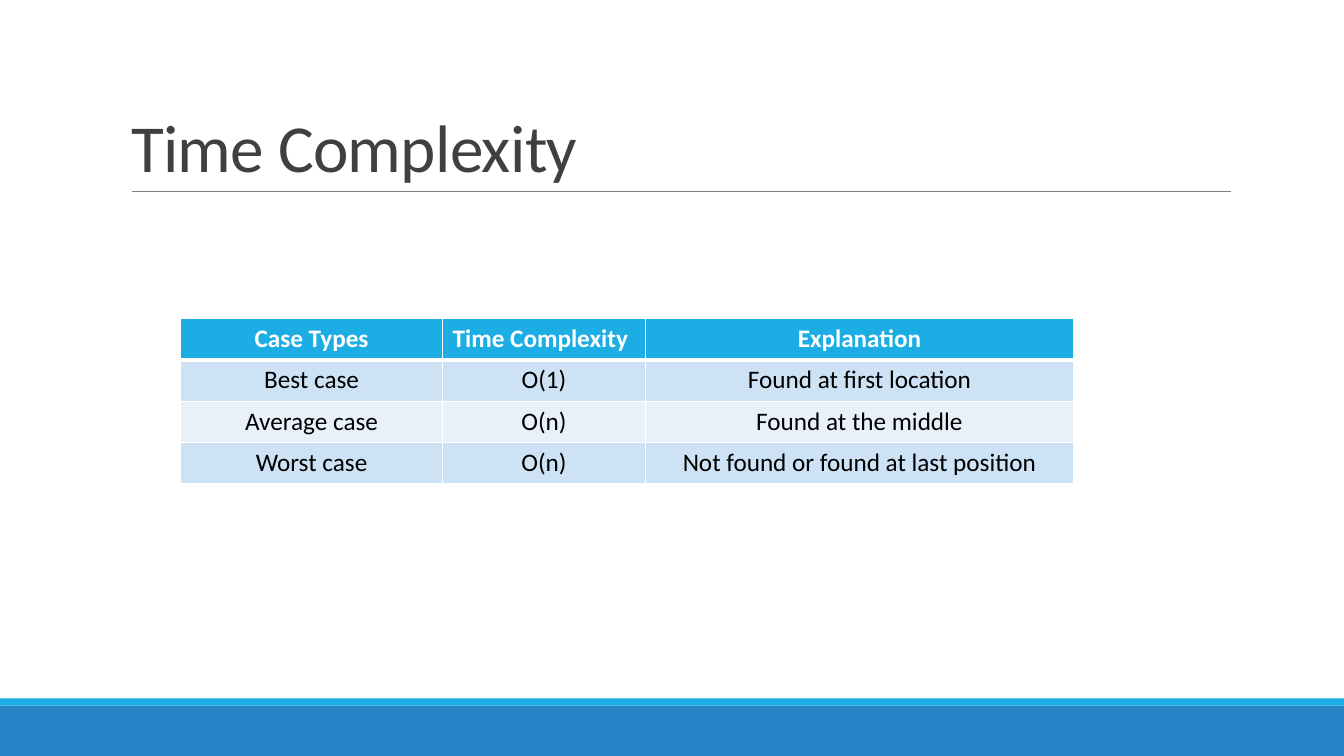
from dataclasses import dataclass

from lxml.etree import SubElement
from pptx import Presentation
from pptx.dml.color import RGBColor
from pptx.enum.shapes import MSO_CONNECTOR, MSO_SHAPE
from pptx.enum.text import MSO_ANCHOR, MSO_AUTO_SIZE, PP_ALIGN
from pptx.oxml.ns import qn
from pptx.util import Inches, Pt


@dataclass(frozen=True)
class Theme:
    font: str = "Calibri"
    title_size: float = 48
    table_size: float = 18
    title: str = "404040"
    rule: str = "808080"
    accent: str = "1CADE4"
    footer: str = "2683C6"
    white: str = "FFFFFF"
    black: str = "000000"
    bands: tuple = ("CDE3F5", "E8F1FA")


class SlideBuilder:
    def __init__(self, slide, theme):
        self.slide = slide
        self.theme = theme

    def format_runs(self, paragraph, size, color, bold=False):
        for run in paragraph.runs:
            run.font.name = self.theme.font
            run.font.size = Pt(size)
            run.font.bold = bold
            run.font.color.rgb = RGBColor.from_string(color)

    def bar(self, top, height, color):
        shape = self.slide.shapes.add_shape(
            MSO_SHAPE.RECTANGLE, 0, Inches(top), Inches(13.33), Inches(height))
        shape.shadow.inherit = False
        shape.fill.solid()
        shape.fill.fore_color.rgb = RGBColor.from_string(color)
        shape.line.fill.background()

    def rule(self, left, right, top):
        connector = self.slide.shapes.add_connector(
            MSO_CONNECTOR.STRAIGHT, Inches(left), Inches(top), Inches(right), Inches(top))
        connector.line.color.rgb = RGBColor.from_string(self.theme.rule)
        connector.line.width = Pt(0.5)
        SubElement(connector._element.spPr, qn("a:effectLst"))

    def title(self, text, left, top, width, height):
        shape = self.slide.shapes.title
        shape.left, shape.top = Inches(left), Inches(top)
        shape.width, shape.height = Inches(width), Inches(height)
        text_frame = shape.text_frame
        text_frame.text = text
        text_frame.word_wrap = True
        text_frame.auto_size = MSO_AUTO_SIZE.NONE
        text_frame.vertical_anchor = MSO_ANCHOR.BOTTOM
        paragraph = text_frame.paragraphs[0]
        paragraph.alignment = PP_ALIGN.LEFT
        paragraph.line_spacing = 0.85
        self.format_runs(paragraph, self.theme.title_size, self.theme.title)
        for run in paragraph.runs:
            run.font._element.set("spc", "-50")

    def borders(self, cell, top, bottom):
        properties = cell._tc.get_or_add_tcPr()
        for side, points in (("lnL", 1), ("lnR", 1), ("lnT", top), ("lnB", bottom)):
            line = SubElement(properties, qn(f"a:{side}"), w=str(Pt(points)))
            fill = SubElement(line, qn("a:solidFill"))
            SubElement(fill, qn("a:srgbClr"), val=self.theme.white)

    def table(self, rows, left, top, column_widths, row_height):
        frame = self.slide.shapes.add_table(
            len(rows), len(column_widths), Inches(left), Inches(top),
            Inches(sum(column_widths)), Inches(row_height * len(rows)))
        table = frame.table
        for column, width in zip(table.columns, column_widths):
            column.width = Inches(width)
        for row_index, values in enumerate(rows):
            table.rows[row_index].height = Inches(row_height)
            header = row_index == 0
            fill = self.theme.accent if header else self.theme.bands[(row_index - 1) % 2]
            color = self.theme.white if header else self.theme.black
            for column_index, value in enumerate(values):
                cell = table.cell(row_index, column_index)
                self.borders(cell, 3 if row_index == 1 else 1, 3 if header else 1)
                cell.fill.solid()
                cell.fill.fore_color.rgb = RGBColor.from_string(fill)
                cell.text_frame.text = value
                paragraph = cell.text_frame.paragraphs[0]
                # The middle heading fills its column from the left
                left_aligned = header and column_index == 1
                paragraph.alignment = PP_ALIGN.LEFT if left_aligned else PP_ALIGN.CENTER
                self.format_runs(paragraph, self.theme.table_size, color, header)


def main():
    presentation = Presentation()
    presentation.slide_width = Inches(13.33)
    presentation.slide_height = Inches(7.5)
    theme = Theme()
    slide = presentation.slides.add_slide(presentation.slide_layouts[5])
    builder = SlideBuilder(slide, theme)

    # Footer bars
    builder.bar(7, 0.5, theme.footer)
    builder.bar(6.93, 0.07, theme.accent)

    # Title and rule
    builder.rule(1.31, 12.21, 1.9)
    builder.title("Time Complexity", 1.2, 0.31, 11, 1.59)

    # Complexity table
    builder.table([
        ("Case Types", "Time Complexity", "Explanation"),
        ("Best case", "O(1)", "Found at first location"),
        ("Average case", "O(n)", "Found at the middle"),
        ("Worst case", "O(n)", "Not found or found at last position"),
    ], 1.79, 3.16, (2.6, 2.01, 4.25), 0.41)

    presentation.save("out.pptx")


if __name__ == "__main__":
    main()
